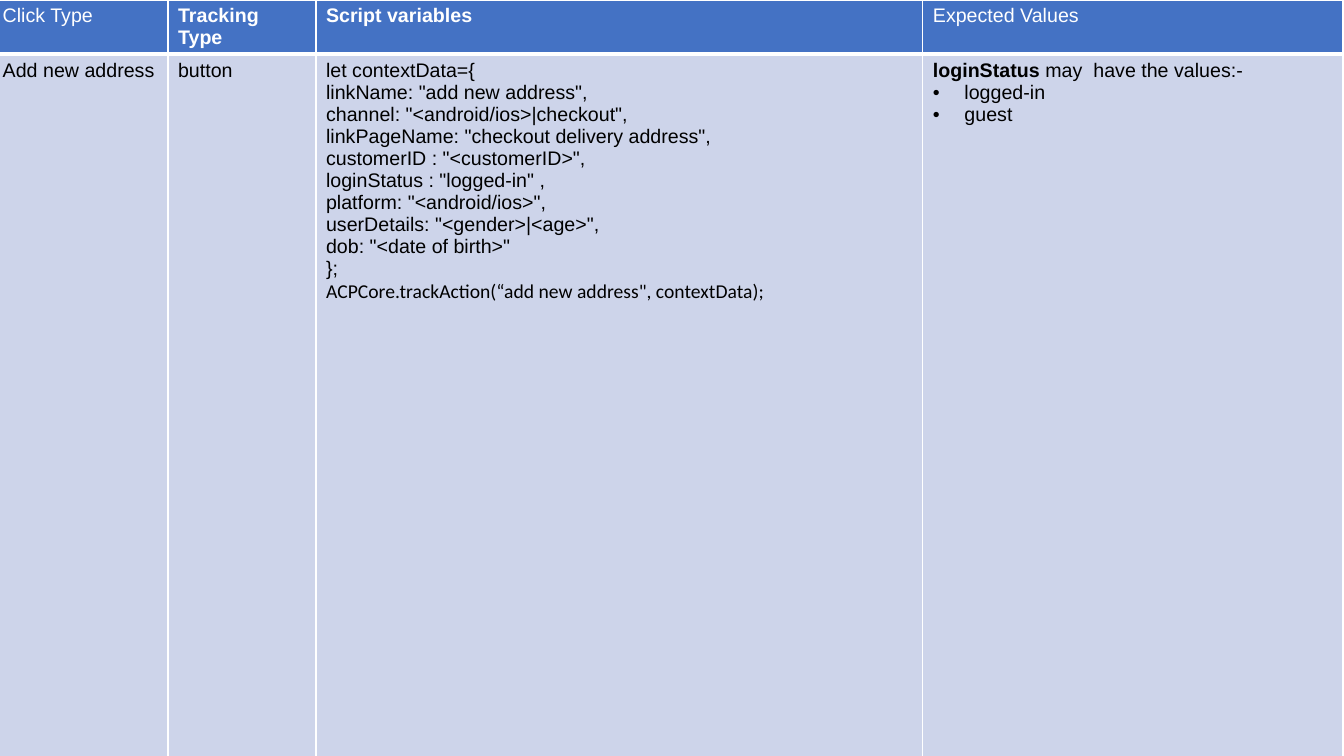
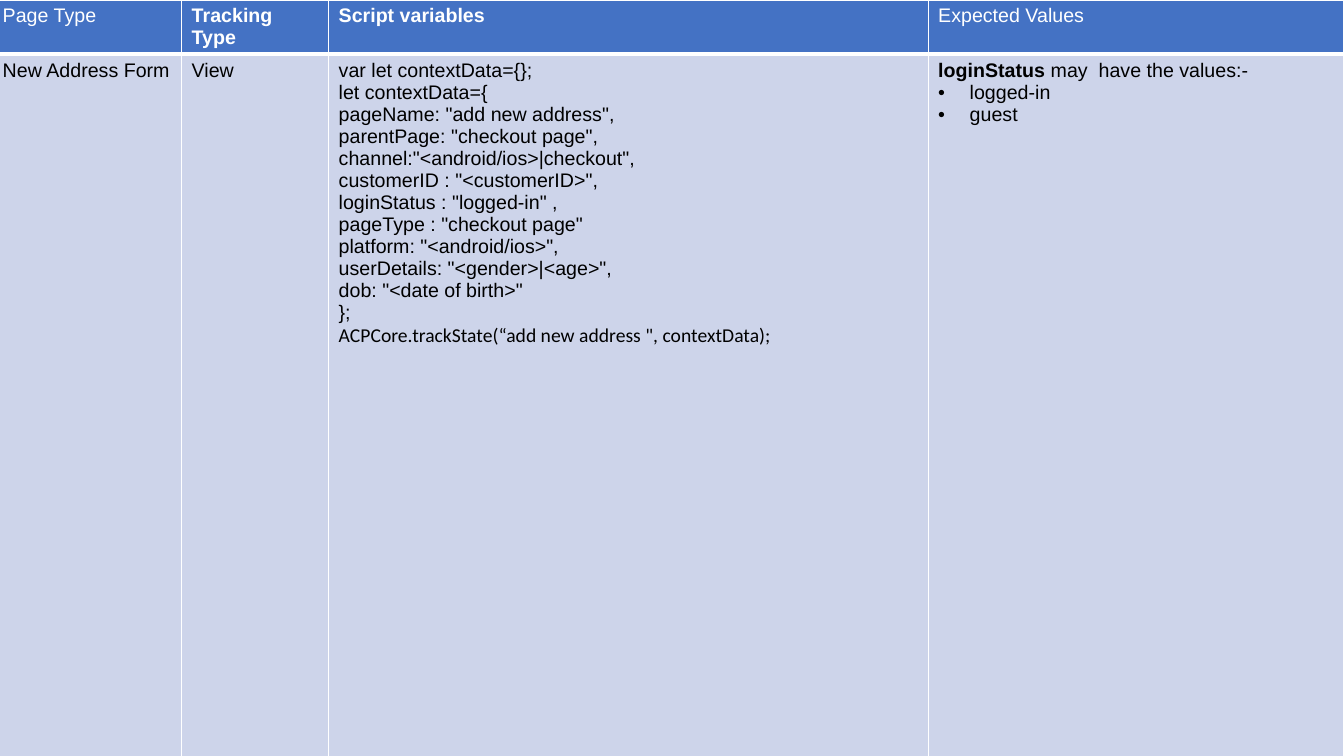
from dataclasses import dataclass

from lxml.etree import SubElement
from pptx import Presentation
from pptx.dml.color import RGBColor
from pptx.oxml.ns import qn
from pptx.slide import Slide
from pptx.table import _Cell
from pptx.text.text import _Paragraph
from pptx.util import Emu, Pt

WHITE = RGBColor(0xFF, 0xFF, 0xFF)
BLACK = RGBColor(0x00, 0x00, 0x00)
HEADER_BLUE = RGBColor(0x44, 0x72, 0xC4)
BODY_BLUE = RGBColor(0xCD, 0xD4, 0xEA)

EMU_PER_PX = 9525
SLIDE_WIDTH, SLIDE_HEIGHT = 1280, 720
TABLE_LEFT, TABLE_TOP = -7, 0
ROW_HEIGHTS = (36, 684)
BULLET_INDENT = 30
THIN, THICK = 1, 3
TEXT_SIZE = 14


@dataclass(frozen=True)
class Span:
    text: str
    bold: bool = False
    font: str = "Arial"


@dataclass(frozen=True)
class Line:
    """One paragraph; a newline inside a span is a line break."""
    spans: tuple[Span, ...]
    bullet: bool = False


@dataclass(frozen=True)
class TrackingPage:
    subject: str
    column_widths: tuple[int, ...]
    name: str
    tracking_type: str
    variables: tuple[str, ...]
    track_call: str


EXPECTED_VALUES = (
    Line((Span("loginStatus ", bold=True), Span("may  have the values:-"))),
    Line((Span("logged-in"),), bullet=True),
    Line((Span("guest"),), bullet=True),
)

PAGES = (
    TrackingPage(
        "Click Type", (167, 141, 578, 400), "Add new address", "button",
        (
            "let contextData={",
            'linkName: "add new address",',
            'channel: "<android/ios>|checkout",',
            'linkPageName: "checkout delivery address",',
            'customerID : "<customerID>",\nloginStatus : "logged-in" ,\n'
            'platform: "<android/ios>",\nuserDetails: "<gender>|<age>",\n'
            'dob: "<date of birth>"',
            "};",
        ),
        'ACPCore.trackAction(“add new address", contextData);',
    ),
    TrackingPage(
        "Page Type", (180, 140, 571, 396), "New Address Form", "View",
        (
            "var let contextData={};",
            "let contextData={",
            'pageName: "add new address",',
            'parentPage: "checkout page",',
            'channel:"<android/ios>|checkout",',
            'customerID : "<customerID>",\nloginStatus : "logged-in" ,\n'
            'pageType : "checkout page"',
            'platform: "<android/ios>",\nuserDetails: "<gender>|<age>",\n'
            'dob: "<date of birth>"',
            "};",
        ),
        'ACPCore.trackState(“add new address ", contextData);',
    ),
)


def px(length: int) -> Emu:
    return Emu(length * EMU_PER_PX)


def plain(text: str, bold: bool = False, font: str = "Arial") -> Line:
    return Line((Span(text, bold, font),))


def add_bullet(paragraph: _Paragraph) -> None:
    properties = paragraph._p.get_or_add_pPr()
    properties.set("marL", str(px(BULLET_INDENT)))
    properties.set("indent", str(px(-BULLET_INDENT)))
    bullet_color = SubElement(properties, qn("a:buClr"))
    SubElement(bullet_color, qn("a:srgbClr"), val=str(BLACK))
    SubElement(properties, qn("a:buFont"), typeface="Arial")
    SubElement(properties, qn("a:buChar"), char="•")


def write_lines(cell: _Cell, lines: tuple[Line, ...], color: RGBColor) -> None:
    frame = cell.text_frame
    for index, line in enumerate(lines):
        paragraph = frame.add_paragraph() if index else frame.paragraphs[0]
        if line.bullet:
            add_bullet(paragraph)
        for span in line.spans:
            for part_index, part in enumerate(span.text.split("\n")):
                if part_index:
                    paragraph.add_line_break()
                run = paragraph.add_run()
                run.text = part
                run.font.size = Pt(TEXT_SIZE)
                run.font.name = span.font
                run.font.bold = span.bold
                run.font.color.rgb = color


def style_cell(cell: _Cell, fill: RGBColor, top: int, bottom: int) -> None:
    properties = cell._tc.get_or_add_tcPr()
    for side, width in (("L", THIN), ("R", THIN), ("T", top), ("B", bottom)):
        border = SubElement(properties, qn(f"a:ln{side}"), w=str(Pt(width)))
        border_fill = SubElement(border, qn("a:solidFill"))
        SubElement(border_fill, qn("a:srgbClr"), val=str(WHITE))
    cell.fill.solid()
    cell.fill.fore_color.rgb = fill


def add_tracking_table(slide: Slide, page: TrackingPage) -> None:
    headers = (
        plain(page.subject),
        plain("Tracking Type", bold=True),
        plain("Script variables", bold=True),
        plain("Expected Values"),
    )
    script_variables = (
        *(plain(variable) for variable in page.variables),
        plain(page.track_call, font="Calibri"),
    )
    details = (
        (plain(page.name),),
        (plain(page.tracking_type),),
        script_variables,
        EXPECTED_VALUES,
    )
    table = slide.shapes.add_table(
        len(ROW_HEIGHTS), len(headers), px(TABLE_LEFT), px(TABLE_TOP),
        px(sum(page.column_widths)), px(sum(ROW_HEIGHTS)),
    ).table
    table.horz_banding = False
    for row, height in zip(table.rows, ROW_HEIGHTS):
        row.height = px(height)
    for index, width in enumerate(page.column_widths):
        table.columns[index].width = px(width)
        header_cell, detail_cell = table.cell(0, index), table.cell(1, index)
        style_cell(header_cell, HEADER_BLUE, THIN, THICK)
        write_lines(header_cell, (headers[index],), WHITE)
        style_cell(detail_cell, BODY_BLUE, THICK, THIN)
        write_lines(detail_cell, details[index], BLACK)


def main() -> None:
    presentation = Presentation()
    presentation.slide_width = px(SLIDE_WIDTH)
    presentation.slide_height = px(SLIDE_HEIGHT)
    blank_layout = presentation.slide_layouts[6]
    for page in PAGES:
        add_tracking_table(presentation.slides.add_slide(blank_layout), page)
    presentation.save("out.pptx")


if __name__ == "__main__":
    main()
